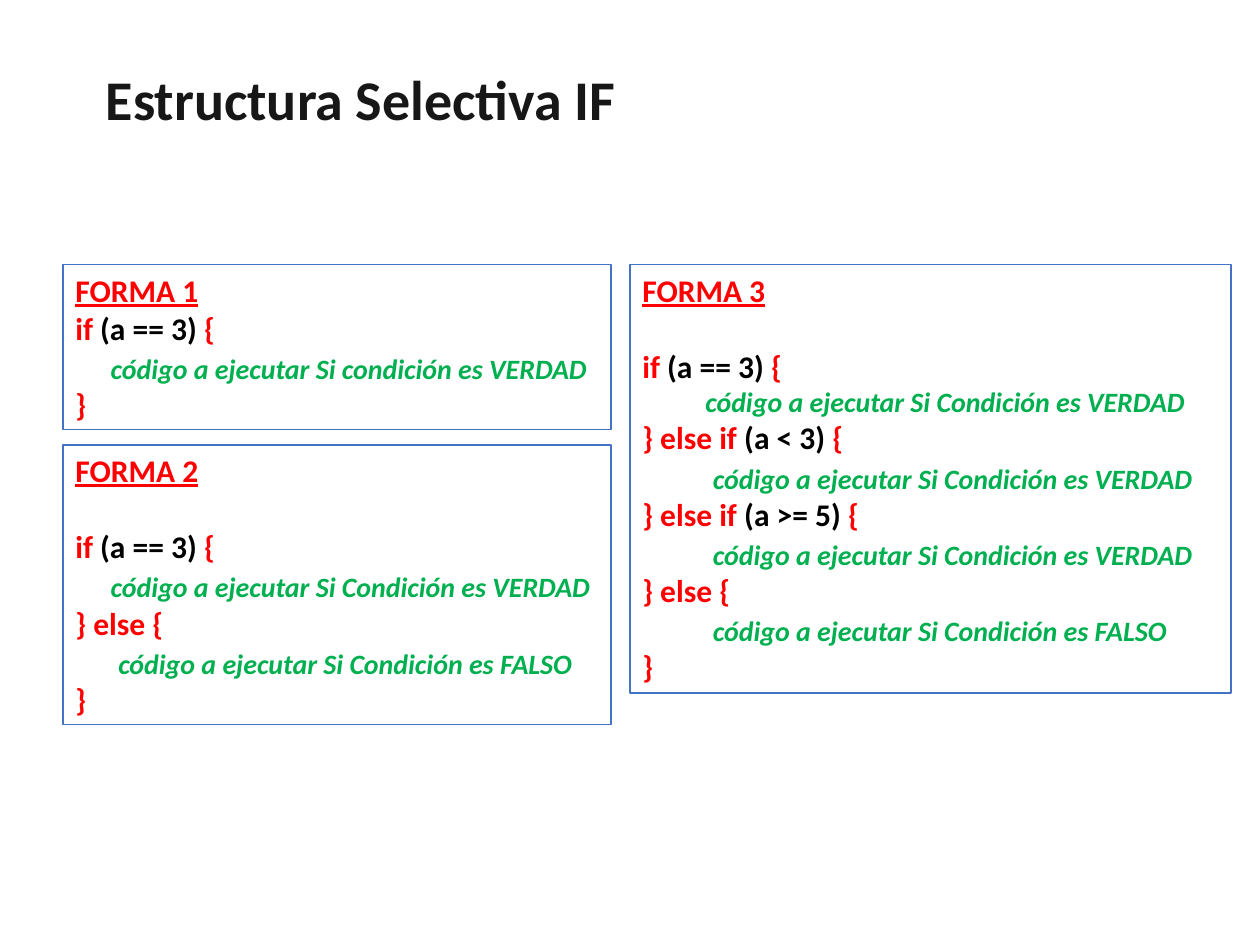
from dataclasses import dataclass

from pptx import Presentation
from pptx.dml.color import RGBColor as Color
from pptx.enum.shapes import MSO_SHAPE as Shape
from pptx.enum.text import MSO_ANCHOR as Anchor, MSO_AUTO_SIZE as AutoSize, PP_ALIGN as Align
from pptx.util import Inches, Pt


@dataclass(frozen=True)
class Theme:
    """Colours, font and type sizes of the slide."""
    font: str = "Calibri"
    title: Color = Color(0x18, 0x17, 0x17)
    keyword: Color = Color(0xFF, 0x00, 0x00)
    condition: Color = Color(0x00, 0x00, 0x00)
    action: Color = Color(0x00, 0xB0, 0x50)
    panel: Color = Color(0xFF, 0xFF, 0xFF)
    border: Color = Color(0x44, 0x72, 0xC4)
    title_size: Pt = Pt(32)
    code_size: Pt = Pt(18)
    action_size: Pt = Pt(16)
    line_pitch: Pt = Pt(22)


@dataclass(frozen=True)
class Code:
    """A line of keywords around an optional condition."""
    opening: str
    condition: str = ""
    closing: str = ""


@dataclass(frozen=True)
class Action:
    """An indented line that says what a branch runs."""
    text: str
    indent: float
    tall: bool = True


THEME = Theme()
TRUE = "código a ejecutar Si Condición es VERDAD"
FALSE = "código a ejecutar Si Condición es FALSO"
IF = Code("if", " (a == 3) ", "{")
ELSE = Code("} else {")
END = Code("}")

PANELS = [
    ((0.5, 2.1, 4.35, 1.31), "FORMA 1", False,
     [IF, Action(TRUE.replace("Condición", "condición"), 0.28), END]),
    ((0.5, 3.53, 4.35, 2.22), "FORMA 2", True,
     [IF, Action(TRUE, 0.28), ELSE, Action(FALSE, 0.34), END]),
    ((5, 2.1, 4.77, 3.4), "FORMA 3", True,
     [IF, Action(TRUE, 0.5, tall=False),
      Code("} else if ", "(a < 3) ", "{"), Action(TRUE, 0.56),
      Code("} else if ", "(a >= 5) ", "{"), Action(TRUE, 0.56),
      ELSE, Action(FALSE, 0.56), END]),
]


def place(shape, box):
    """Move a shape to a box given in inches."""
    shape.left, shape.top, shape.width, shape.height = map(Inches, box)


def style(font, size, color):
    """Set the bold face shared by all text."""
    font.name, font.size, font.bold = THEME.font, size, True
    font.color.rgb = color


def add_title(page, box, text):
    """Fill the title placeholder."""
    title = page.shapes.title
    place(title, box)
    frame = title.text_frame
    frame.text = text
    frame.word_wrap = False
    frame.auto_size = AutoSize.NONE
    frame.vertical_anchor = Anchor.TOP
    para = frame.paragraphs[0]
    para.alignment = Align.LEFT
    style(para.font, THEME.title_size, THEME.title)


def add_code(para, line):
    """Write a code line with its condition in black."""
    style(para.font, THEME.code_size, THEME.keyword)
    for text, color in ((line.opening, THEME.keyword),
                        (line.condition, THEME.condition),
                        (line.closing, THEME.keyword)):
        if text:
            span = para.add_run()
            span.text = text
            span.font.color.rgb = color


def add_action(para, line):
    """Write an indented action line in green italics."""
    para.text = line.text
    style(para.font, THEME.action_size, THEME.action)
    para.font.italic = True
    if line.tall:
        para.line_spacing = THEME.line_pitch
    properties = para._p.get_or_add_pPr()
    properties.set("marL", str(Inches(line.indent)))
    properties.set("indent", "0")


def add_panel(page, box, heading, spaced, lines):
    """Draw one bordered panel with its heading and code."""
    panel = page.shapes.add_shape(Shape.RECTANGLE, *map(Inches, box))
    panel.shadow.inherit = False
    panel.fill.solid()
    panel.fill.fore_color.rgb = THEME.panel
    panel.line.color.rgb = THEME.border
    panel.line.width = Pt(1)
    frame = panel.text_frame
    frame.word_wrap = True
    frame.vertical_anchor = Anchor.TOP
    para = frame.paragraphs[0]
    para.text = heading
    para.alignment = Align.LEFT
    style(para.font, THEME.code_size, THEME.keyword)
    para.font.underline = True
    if spaced:
        para.space_after = THEME.line_pitch
    for line in lines:
        para = frame.add_paragraph()
        para.alignment = Align.LEFT
        write = add_code if isinstance(line, Code) else add_action
        write(para, line)


def main():
    """Build the slide and save it."""
    deck = Presentation()
    deck.slide_width, deck.slide_height = Inches(10), Inches(7.5)
    page = deck.slides.add_slide(deck.slide_layouts.get_by_name("Title Only"))
    add_title(page, (0.74, 0.46, 4.29, 0.64), "Estructura Selectiva IF")
    for panel in PANELS:
        add_panel(page, *panel)
    deck.save("out.pptx")


if __name__ == "__main__":
    main()
